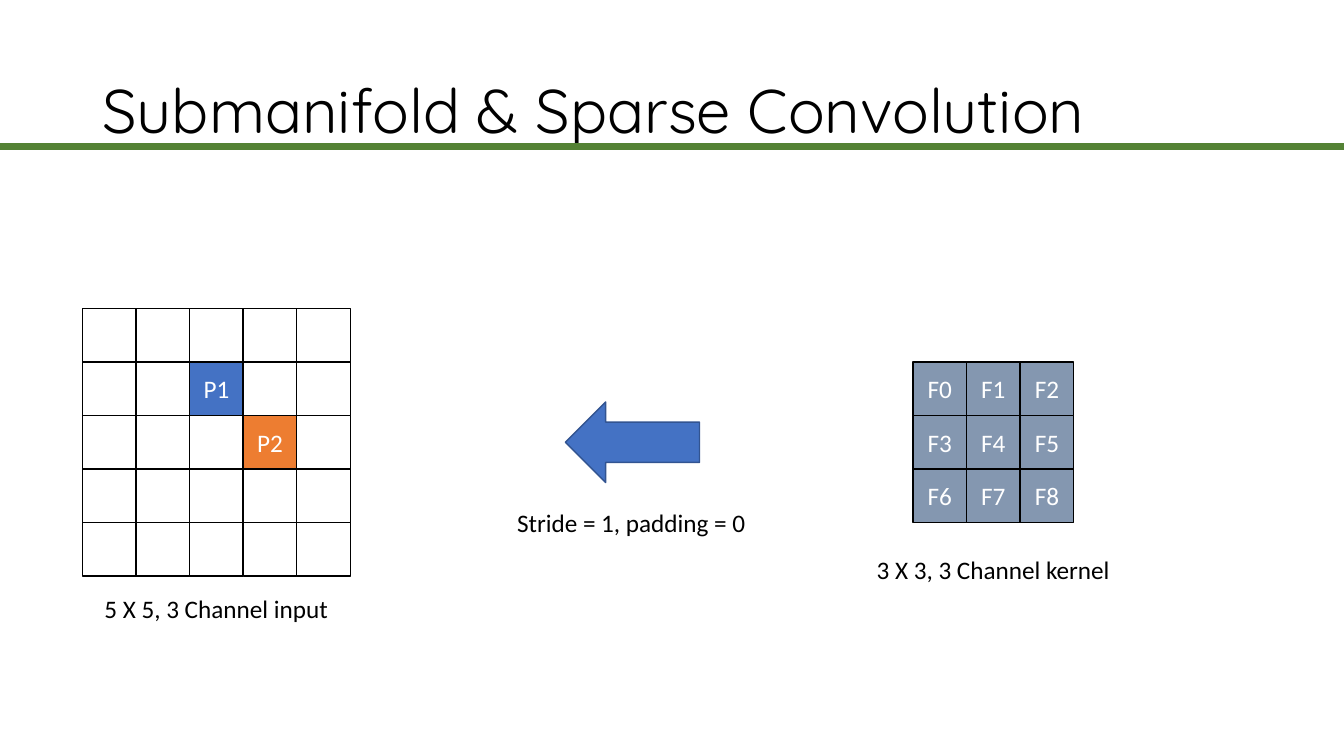
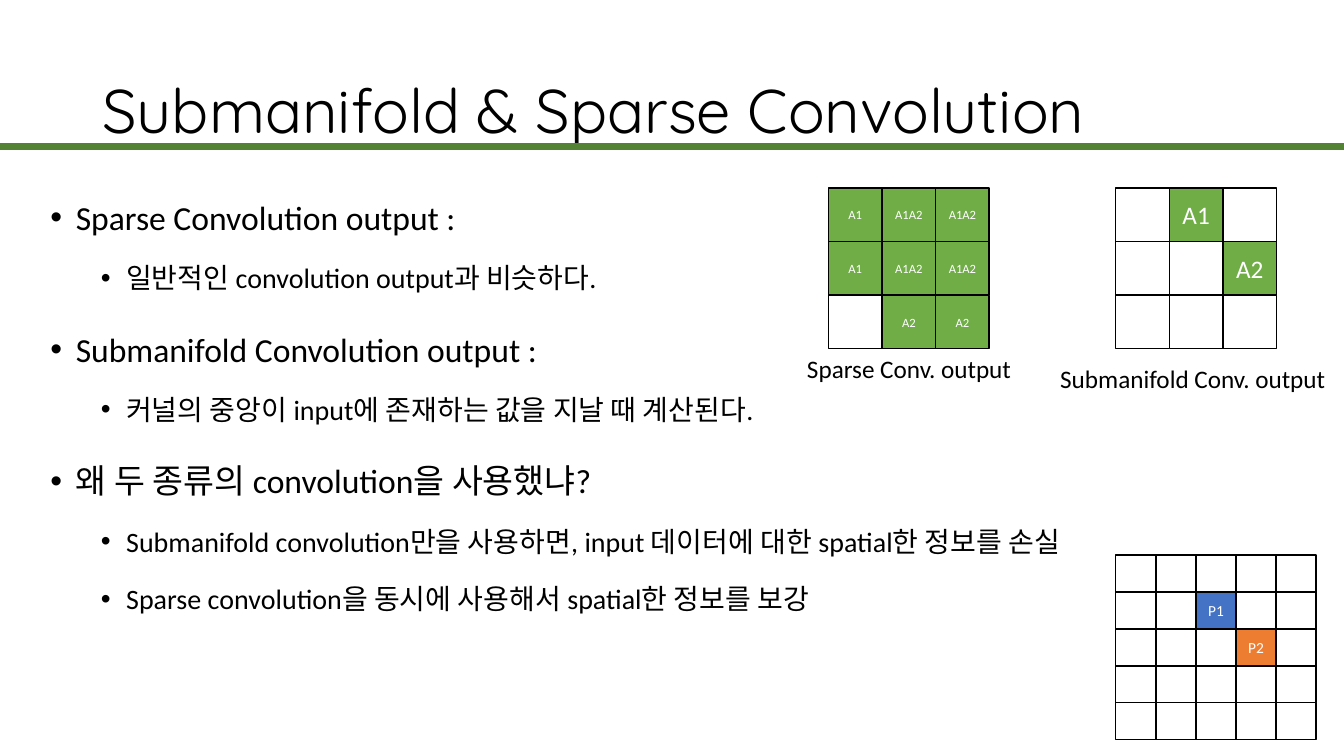
from lxml.etree import SubElement
from pptx import Presentation
from pptx.dml.color import RGBColor
from pptx.enum.shapes import MSO_CONNECTOR, MSO_SHAPE
from pptx.enum.text import MSO_ANCHOR, PP_ALIGN
from pptx.oxml.ns import qn
from pptx.util import Cm, Pt

WHITE, BLACK, BLUE = "FFFFFF", "000000", "4472C4"
GREEN, GREY = "70AD47", "8497B0"
RULE, ARROW_EDGE = "548235", "325491"
FILLS = {
    "-": WHITE, "P1": BLUE, "P2": "ED7D31",
    **dict.fromkeys(["A1", "A2", "A1A2"], GREEN),
    **{f"F{i}": GREY for i in range(9)},
}

TITLE = "Submanifold & Sparse Convolution"
TITLE_FONT = {"name": "Quicksand", "size": Pt(44)}
CAPTION_FONT = {"name": "Calibri", "size": Pt(18)}
CELL_FRAME = {
    "margin_left": 0, "margin_right": 0, "margin_top": 0, "margin_bottom": 0,
    "vertical_anchor": MSO_ANCHOR.MIDDLE,
}
BULLET_LEVELS = [
    {"indent": 0.64, "before": 10, "size": 24},
    {"indent": 1.91, "before": 5, "size": 20},
]
HANGING = Cm(0.64)

INPUT_ROWS = ["- - - - -", "- - P1 - -", "- - - P2 -", "- - - - -", "- - - - -"]

# Grids: left, top, cell width, cell height, text size, rows
# Captions: left, top, width, text
SLIDES = [
    {
        "bullets": [],
        "grids": [
            (2.08, 7.77, 1.35, 1.35, 18, INPUT_ROWS),
            (23.01, 9.12, 1.35, 1.35, 18, ["F0 F1 F2", "F3 F4 F5", "F6 F7 F8"]),
        ],
        "arrows": [(14.25, 10.13, 3.38, 2.03)],
        "captions": [
            (11.68, 12.65, 8.46, "Stride = 1, padding = 0"),
            (1.22, 14.83, 8.46, "5 X 5, 3 Channel input"),
            (20.8, 13.84, 8.46, "3 X 3, 3 Channel kernel"),
        ],
    },
    {
        "bullets": [
            (0, "Sparse Convolution output :"),
            (1, "일반적인 convolution output과 비슷하다."),
            (0, "Submanifold Convolution output :"),
            (1, "커널의 중앙이 input에 존재하는 값을 지날 때 계산된다."),
            (0, "왜 두 종류의 convolution을 사용했냐?"),
            (1, "Submanifold convolution만을 사용하면, input 데이터에 대한 spatial한 정보를 손실"),
            (1, "Sparse convolution을 동시에 사용해서 spatial한 정보를 보강"),
        ],
        "grids": [
            (20.88, 4.74, 1.35, 1.35, 9, ["A1 A1A2 A1A2", "A1 A1A2 A1A2", "- A2 A2"]),
            (28.12, 4.74, 1.35, 1.35, 18, ["- A1 -", "- - A2", "- - -"]),
            (28.12, 13.99, 1.01, 0.93, 11, INPUT_ROWS),
        ],
        "arrows": [],
        "captions": [
            (19.48, 8.79, 6.86, "Sparse Conv. output"),
            (26.26, 9.04, 7.6, "Submanifold Conv. output"),
        ],
    },
]


def paint(part, color):
    """Give a fill, or the fill of a line or font, a solid hex colour."""
    part.solid()
    part.fore_color.rgb = RGBColor.from_string(color)


def write(p, text, color, font):
    r = p.add_run()
    r.text = text
    for name, value in font.items():
        setattr(r.font, name, value)
    paint(r.font.fill, color)


prs = Presentation()
prs.slide_width, prs.slide_height = Cm(33.87), Cm(19.05)

for content in SLIDES:
    s = prs.slides.add_slide(prs.slide_layouts[6])

    if content["bullets"]:
        tf = s.shapes.add_textbox(Cm(1.02), Cm(4.32), Cm(29.77), Cm(13.64)).text_frame
        tf.word_wrap = True
        for i, (level, text) in enumerate(content["bullets"]):
            style = BULLET_LEVELS[level]
            p = tf.add_paragraph() if i else tf.paragraphs[0]
            p.level = level
            p.line_spacing = 1.5
            p.space_before = Pt(style["before"] if i else 0)
            pPr = p._p.get_or_add_pPr()
            pPr.set("marL", str(Cm(style["indent"])))
            pPr.set("indent", str(-HANGING))
            SubElement(pPr, qn("a:buFont"), typeface="Arial")
            SubElement(pPr, qn("a:buChar"), char="•")
            write(p, text, BLACK, {"name": "Calibri", "size": Pt(style["size"])})

    for left, top, width, height, size, rows in content["grids"]:
        group = s.shapes.add_group_shape()
        for i, row in enumerate(rows):
            for j, label in enumerate(row.split()):
                sp = group.shapes.add_shape(
                    MSO_SHAPE.RECTANGLE, Cm(left + j * width), Cm(top + i * height),
                    Cm(width), Cm(height))
                sp.shadow.inherit = False
                paint(sp.fill, FILLS[label])
                paint(sp.line.fill, BLACK)
                sp.line.width = Pt(1)
                if label != "-":
                    tf = sp.text_frame
                    for name, value in CELL_FRAME.items():
                        setattr(tf, name, value)
                    p = tf.paragraphs[0]
                    p.alignment = PP_ALIGN.CENTER
                    write(p, label, WHITE, {"name": "Calibri", "size": Pt(size)})

    for box in content["arrows"]:
        sp = s.shapes.add_shape(MSO_SHAPE.LEFT_ARROW, *map(Cm, box))
        sp.shadow.inherit = False
        paint(sp.fill, BLUE)
        paint(sp.line.fill, ARROW_EDGE)
        sp.line.width = Pt(1)

    for left, top, width, text in content["captions"]:
        tf = s.shapes.add_textbox(Cm(left), Cm(top), Cm(width), Cm(1.02)).text_frame
        tf.word_wrap = True
        p = tf.paragraphs[0]
        p.alignment = PP_ALIGN.CENTER
        write(p, text, BLACK, CAPTION_FONT)

    tf = s.shapes.add_textbox(Cm(2.33), Cm(1.02), Cm(29.21), Cm(3.68)).text_frame
    tf.word_wrap = True
    tf.vertical_anchor = MSO_ANCHOR.MIDDLE
    p = tf.paragraphs[0]
    p.line_spacing = 0.9
    write(p, TITLE, BLACK, TITLE_FONT)

    rule = s.shapes.add_connector(
        MSO_CONNECTOR.STRAIGHT, 0, Cm(3.68), prs.slide_width, Cm(3.68))
    paint(rule.line.fill, RULE)
    rule.line.width = Pt(5)
    SubElement(rule._element.spPr, qn("a:effectLst"))

prs.save("out.pptx")
